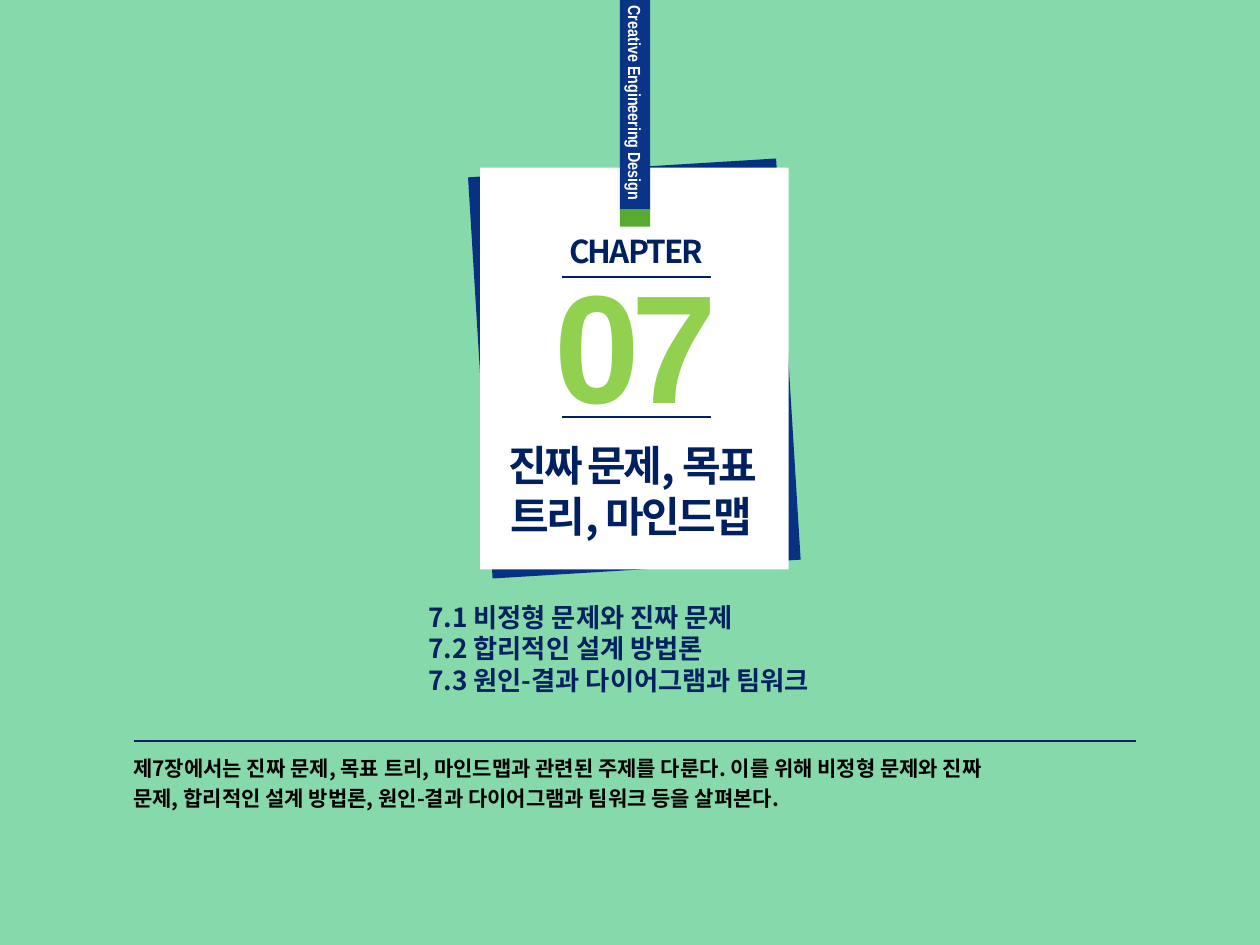
from lxml import etree
from pptx import Presentation
from pptx.dml.color import RGBColor
from pptx.enum import shapes, text
from pptx.oxml.ns import qn
from pptx.util import Inches, Pt

MINT = RGBColor(0x85, 0xD9, 0xAB)
NAVY = RGBColor(0x00, 0x20, 0x60)
BLUE = RGBColor(0x09, 0x31, 0x82)
BAND = RGBColor(0x0A, 0x34, 0x88)
GREEN = RGBColor(0x59, 0xAA, 0x30)
LIME = RGBColor(0x92, 0xD0, 0x50)
WHITE = RGBColor(0xFF, 0xFF, 0xFF)
BLACK = RGBColor(0x00, 0x00, 0x00)
SANS = "Noto Sans CJK KR"
LEFT = text.PP_ALIGN.LEFT
MID = text.PP_ALIGN.CENTER


def block(slide, x, y, w, h, fill, turn=0):
    """Draw a plain filled rectangle."""
    box = slide.shapes.add_shape(
        shapes.MSO_SHAPE.RECTANGLE, Inches(x), Inches(y), Inches(w), Inches(h))
    box.shadow.inherit = False
    box.fill.solid()
    box.fill.fore_color.rgb = fill
    box.line.fill.background()
    box.rotation = turn
    return box


def rule(slide, x, y, w, width):
    """Draw a level navy line."""
    line = slide.shapes.add_connector(
        shapes.MSO_CONNECTOR.STRAIGHT,
        Inches(x), Inches(y), Inches(x + w), Inches(y))
    line.line.color.rgb = NAVY
    line.line.width = Pt(width)
    etree.SubElement(line._element.spPr, qn("a:effectLst"))


def write(frame, lines, size, color, face=SANS, align=LEFT, gap=0, track=0):
    """Fill a text frame with bold paragraphs."""
    frame.word_wrap = True
    for i, words in enumerate(lines):
        para = frame.add_paragraph() if i else frame.paragraphs[0]
        para.text = words
        para.alignment = align
        if i and gap:
            para.space_before = Pt(gap)
        font = para.font
        font.size, font.bold, font.name = Pt(size), True, face
        font.color.rgb = color
        props = para._p.pPr.find(qn("a:defRPr"))
        etree.SubElement(props, qn("a:ea")).set("typeface", face)
        if track:
            props.set("spc", str(round(track * 100)))


def label(slide, x, y, w, h, lines, size, color, **style):
    """Add a text box."""
    box = slide.shapes.add_textbox(Inches(x), Inches(y), Inches(w), Inches(h))
    write(box.text_frame, lines, size, color, **style)


def card(slide, x, y, w, h):
    """Place the chapter card with its tilted backing."""
    block(slide, x, y, w, h, BLUE, 356.5)
    block(slide, x, y, w, h, WHITE)
    ribbon(slide, x + 1.11, 0, 0.24, y + 0.34)
    label(slide, x + 0.27, y + 0.6, 1.94, 1.58, ["07"], 88, LIME,
          face="Arial", align=MID, track=-5)
    label(slide, x + 0.49, y + 0.46, 1.5, 0.4, ["CHAPTER"], 18, NAVY,
          align=MID, track=-1.1)
    for drop in (0.87, 1.98):
        rule(slide, x + 0.65, y + drop, 1.18, 1)
    label(slide, x - 0.14, y + 2.11, 2.68, 0.91,
          ["진짜 문제, 목표 트리, 마인드맵"], 24, NAVY, align=MID, track=-1.5)


def ribbon(slide, x, y, w, h):
    """Place the hanging ribbon with its sideways title and green tip."""
    frame = block(slide, x, y, w, h, BAND).text_frame
    frame.margin_left = frame.margin_top = frame.margin_right = 0
    frame.margin_bottom = Inches(0.08)
    frame.vertical_anchor = text.MSO_ANCHOR.MIDDLE
    write(frame, ["Creative Engineering Design"], 10, WHITE,
          face="Arial Narrow", align=text.PP_ALIGN.RIGHT)
    frame._txBody.bodyPr.set("vert", "vert")
    block(slide, x, y + h - 0.01, w, 0.14, GREEN)


def topics(slide, x, y, w, h):
    """List the sections of the chapter."""
    label(slide, x, y, w, h, [
        "7.1 비정형 문제와 진짜 문제",
        "7.2 합리적인 설계 방법론",
        "7.3 원인-결과 다이어그램과 팀워크"], 15, NAVY)


def summary(slide, x, y, w, h):
    """Place the chapter summary under its line."""
    rule(slide, x + 0.1, y - 0.07, 7.96, 0.75)
    label(slide, x, y, w, h, [
        "제7장에서는 진짜 문제, 목표 트리, 마인드맵과 관련된 주제를 다룬다. 이를 위해 비정형 문제와 진짜",
        "문제, 합리적인 설계 방법론, 원인-결과 다이어그램과 팀워크 등을 살펴본다."],
        12, BLACK, gap=2.4)


def main():
    """Build and save the slide."""
    deck = Presentation()
    deck.slide_width, deck.slide_height = Inches(10), Inches(7.5)
    slide = deck.slides.add_slide(deck.slide_layouts[6])
    slide.background.fill.solid()
    slide.background.fill.fore_color.rgb = MINT
    card(slide, 3.81, 1.33, 2.45, 3.19)
    summary(slide, 0.96, 5.95, 9, 1.18)
    topics(slide, 3.3, 4.72, 5, 0.86)
    deck.save("out.pptx")


if __name__ == "__main__":
    main()
